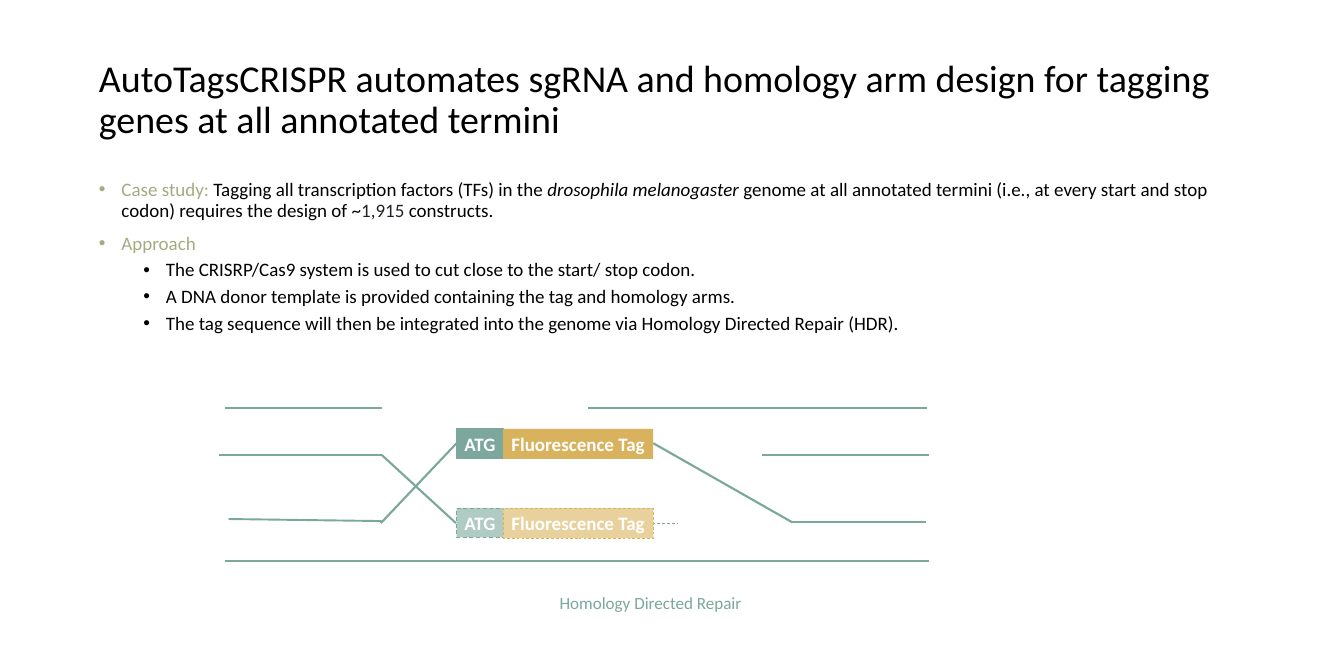
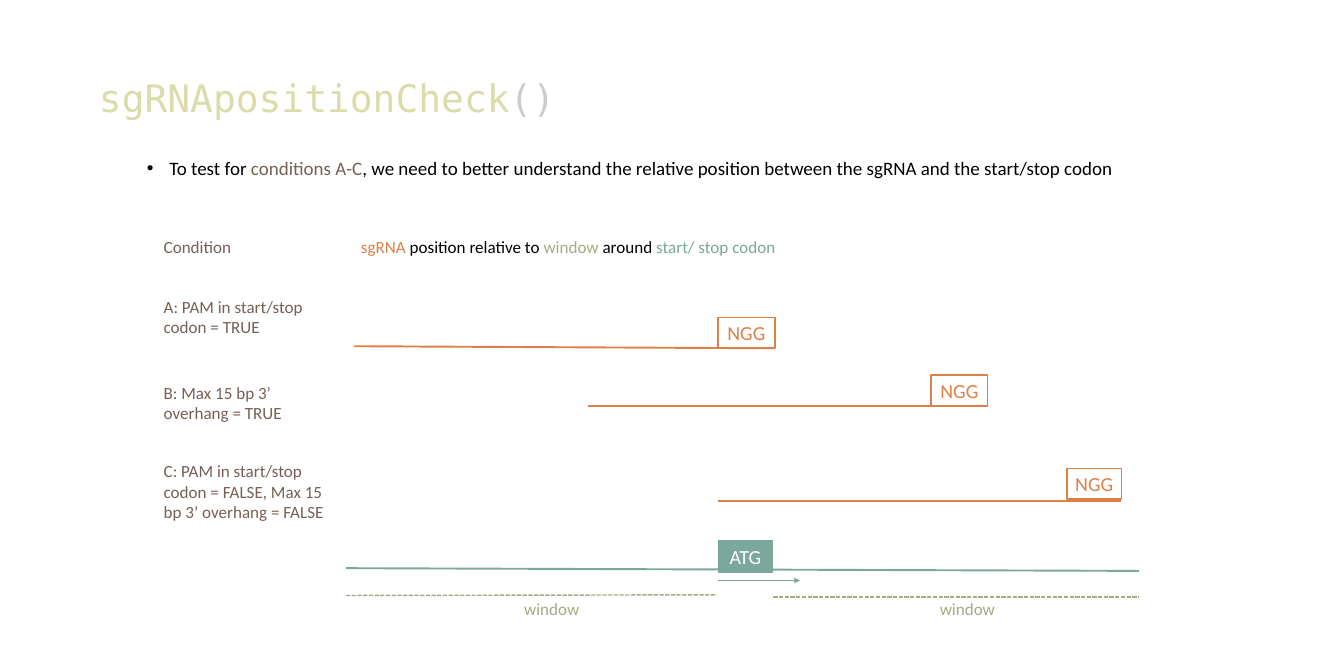
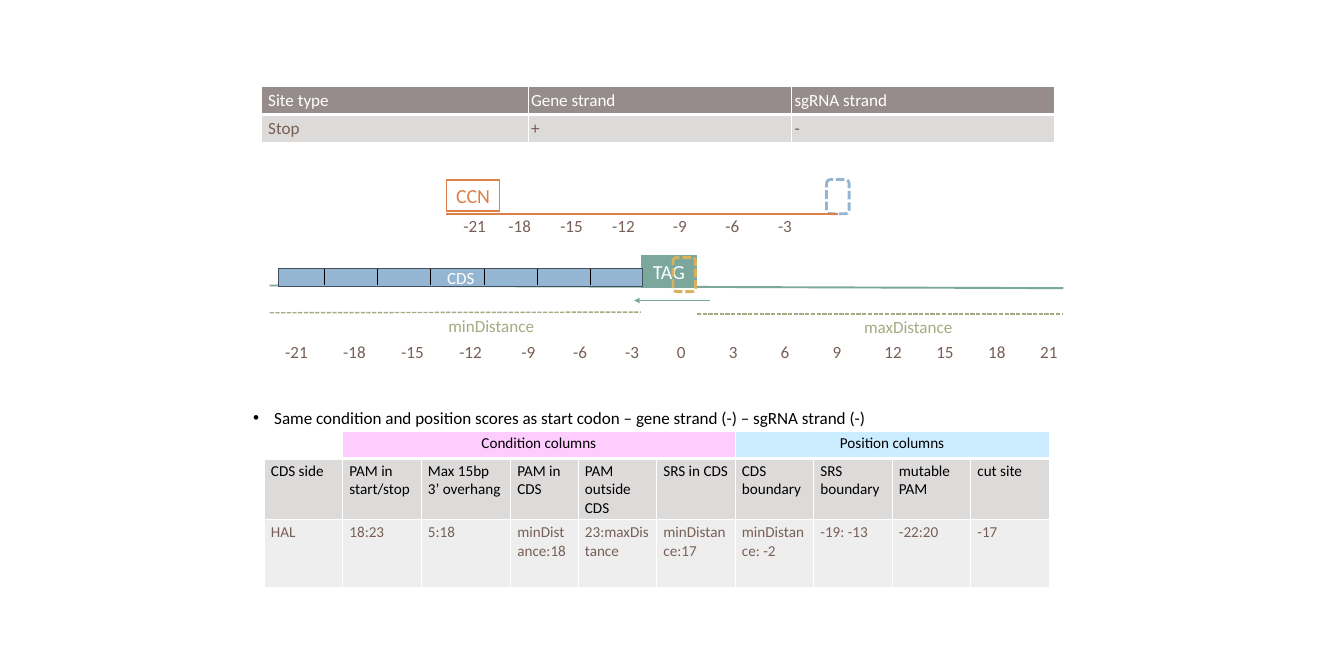
from dataclasses import dataclass

import lxml.etree
import pptx
import pptx.dml.color
import pptx.enum.dml
import pptx.enum.shapes
import pptx.enum.text
import pptx.oxml
import pptx.oxml.ns
import pptx.util

Inches, Pt = pptx.util.Inches, pptx.util.Pt
RGBColor = pptx.dml.color.RGBColor
DASH = pptx.enum.dml.MSO_LINE.DASH
SHORT_DASH = pptx.enum.dml.MSO_LINE.SQUARE_DOT
SHAPE = pptx.enum.shapes.MSO_SHAPE
ALIGN = pptx.enum.text.PP_ALIGN
ANCHOR = pptx.enum.text.MSO_ANCHOR
FIT = pptx.enum.text.MSO_AUTO_SIZE


@dataclass(frozen=True)
class Theme:
    teal: str = "7BA79D"
    pale_teal: str = "B0CAC4"
    gold: str = "D8B25C"
    pale_gold: str = "E8D19D"
    olive: str = "A5AB81"
    orange: str = "DD8047"
    brown: str = "775F55"
    blue: str = "94B6D2"
    navy: str = "41505C"
    black: str = "000000"
    ink: str = "1F2328"
    white: str = "FFFFFF"
    code_name: str = "DCDCAA"
    code_mark: str = "CCCCCC"
    header: str = "968C8C"
    band: str = "DDDADA"
    pale_band: str = "EFEEEE"
    pink: str = "FFCCFF"
    sky: str = "CCECFF"
    font: str = "Calibri"
    code_font: str = "DejaVu Sans Mono"
    title_size: int = 40
    body_size: int = 20
    codon_size: int = 21
    label_size: int = 18
    cell_size: int = 16


THEME = Theme()
TITLE_AT = (1.35, 0.52, 16.98, 1.9)
BODY_SIZE = (16.98, 6.24)

# Slide 1
REPAIR_TITLE = [("AutoTagsCRISPR automates sgRNA and homology arm design "
                 "for tagging genes at all annotated termini", THEME.black)]
REPAIR_POINTS = [
    (0, [("Case study:", THEME.olive),
         (" Tagging all transcription factors (TFs) in the ", THEME.black),
         ("drosophila melanogaster ", THEME.black, True),
         ("genome at all annotated termini (i.e., at every start and stop codon) "
          "requires the design of ~", THEME.black),
         ("1,915", THEME.ink), (" constructs.", THEME.black)]),
    (0, [("Approach", THEME.olive)]),
    (1, [("The CRISRP/Cas9 system is used to cut close to the start/ stop codon.", THEME.black)]),
    (1, [("A DNA donor template is provided containing the tag and homology arms.", THEME.black)]),
    (1, [("The tag sequence will then be integrated into the genome via "
          "Homology Directed Repair (HDR).", THEME.black)]),
]
GENOME_STRANDS = [
    ((3.29, 8.21), (13.61, 8.21)),
    ((3.29, 5.97), (5.59, 5.97)), ((8.61, 5.97), (13.58, 5.97)),
    ((3.21, 6.66), (5.59, 6.66)), ((11.17, 6.66), (13.61, 6.66)),
    ((3.35, 7.6), (5.59, 7.63)),
]
CROSSOVERS = [
    ((5.59, 6.66), (6.68, 7.66)), ((5.58, 7.66), (6.69, 6.49)),
    ((9.57, 6.49), (11.61, 7.65)), ((13.56, 7.65), (11.59, 7.65)),
]
# top, codon fill, tag fill, tag outline, dash
CONSTRUCTS = [
    (6.28, THEME.teal, THEME.gold, None, None),
    (7.44, THEME.pale_teal, THEME.pale_gold, THEME.gold, DASH),
]

# Slide 2
CHECK_TITLE = [("sgRNApositionCheck", THEME.code_name), ("()", THEME.code_mark)]
CHECK_POINTS = [
    (1, [("To test for ", THEME.black), ("conditions A-C", THEME.brown),
         (", we need to better understand the relative position between the sgRNA "
          "and the start/stop codon", THEME.black)]),
]
CONDITION_LABELS = [
    ("Condition", 3.41, 2.08, 0.4),
    ("A: PAM in start/stop codon = TRUE", 4.29, 2.53, 0.71),
    ("B: Max 15 bp 3’ overhang = TRUE", 5.55, 2.77, 0.71),
    ("C: PAM in start/stop codon = FALSE, Max 15 bp 3’ overhang = FALSE", 6.7, 2.63, 1.01),
]
POSITION_HEADING = [
    ("sgRNA ", THEME.orange), ("position relative to ", THEME.black),
    ("window ", THEME.olive), ("around ", THEME.black), ("start/ stop codon", THEME.teal),
]
# start of guide, end of guide, box of the PAM
GUIDES = [
    ((5.19, 5.07), (11.35, 5.1), (10.52, 4.65, 0.83, 0.45)),
    ((8.61, 5.94), (14.47, 5.94), (13.64, 5.49, 0.83, 0.45)),
    ((10.52, 7.33), (16.43, 7.33), (15.63, 6.86, 0.8, 0.45)),
]
# start, end, label, left and top of label
CODON_WINDOWS = [
    ((5.07, 8.72), (10.5, 8.71), "window", 7.58, 8.71),
    ((11.33, 8.74), (16.69, 8.74), "window", 13.67, 8.72),
]

# Slide 3
DISTANCE_WINDOWS = [
    ((3.95, 4.58), (9.39, 4.57), "minDistance", 6.47, 4.57),
    ((10.21, 4.6), (15.58, 4.6), "maxDistance", 12.56, 4.58),
]
STRAND_FACTS = [("Site type", "Stop", 3.83), ("Gene strand", "+", 7.68),
                ("sgRNA strand", "-", 11.54)]
# left of first number, step, numbers
GENOME_SCALE = [(4.08, 0.85, range(-21, -11, 3)), (7.54, 0.76, range(-9, 22, 3))]
GUIDE_SCALE = [(6.69, 0.76, [-21]), (7.35, 0.76, range(-18, -11, 3)),
               (9.76, 0.77, range(-9, -2, 3))]
SCORE_NOTE = ("Same condition and position scores as start codon – "
              "gene strand (-) – sgRNA strand (-)")
SCORE_GROUPS = [("Condition columns", THEME.pink, 1, 5), ("Position columns", THEME.sky, 6, 9)]
SCORES = [
    ("CDS side", "HAL", 1.15), ("PAM in start/stop", "18:23", 1.15),
    ("Max 15bp 3’ overhang", "5:18", 1.31), ("PAM in CDS", "minDistance:18", 0.99),
    ("PAM outside CDS", "23:maxDistance", 1.15), ("SRS in CDS", "minDistance:17", 1.15),
    ("CDS boundary", "minDistance: -2", 1.15), ("SRS boundary", "-19: -13", 1.15),
    ("mutable PAM", "-22:20", 1.15), ("cut site", "-17", 1.15),
]


def rgb(color):
    return RGBColor.from_string(color)


def inches(values):
    return [Inches(value) for value in values]


def write(para, spans, size, font=THEME.font, bold=None, align=None):
    """Fill a paragraph with (text, colour[, italic]) spans."""
    para.font.name, para.font.size, para.font.bold = font, Pt(size), bold
    para.alignment = align
    one_color = len({color for _, color, *_ in spans}) == 1
    if one_color:
        para.font.color.rgb = rgb(spans[0][1])
    for text, color, *italic in spans:
        span = para.add_run()
        span.text = text
        if not one_color:
            span.font.color.rgb = rgb(color)
        if italic:
            span.font.italic = italic[0]


def bullet(para, left, hang):
    properties = para._p.get_or_add_pPr()
    properties.set("marL", str(Inches(left)))
    properties.set("indent", str(-Inches(hang)))
    properties.append(pptx.oxml.parse_xml(
        f'<a:buFont {pptx.oxml.ns.nsdecls("a")} typeface="Arial"/>'))
    properties.append(pptx.oxml.parse_xml(
        f'<a:buChar {pptx.oxml.ns.nsdecls("a")} char="•"/>'))
    for default in properties.findall(pptx.oxml.ns.qn("a:defRPr")):
        properties.append(default)


def place(shape, at):
    shape.left, shape.top, shape.width, shape.height = inches(at)


def add_titled_page(deck, title, points, body_at, title_font=THEME.font):
    page = deck.slides.add_slide(deck.slide_layouts[1])
    heading, body = page.placeholders
    place(heading, TITLE_AT)
    place(body, (*body_at, *BODY_SIZE))
    for holder, anchor in ((heading, ANCHOR.MIDDLE), (body, ANCHOR.TOP)):
        holder.text_frame.auto_size = FIT.NONE
        holder.text_frame.vertical_anchor = anchor
    para = heading.text_frame.paragraphs[0]
    write(para, title, THEME.title_size, title_font, align=ALIGN.LEFT)
    para.line_spacing = 0.9
    for index, (level, spans) in enumerate(points):
        frame = body.text_frame
        para = frame.add_paragraph() if index else frame.paragraphs[0]
        write(para, spans, THEME.body_size)
        para.level = level
        para.line_spacing = 0.9
        para.space_before = Pt(6.6 if level else 13.1)
        bullet(para, 0.98 if level else 0.33, 0.33)
    return page


def add_line(shapes, start, end, color, width=2, dash=None, arrow=False):
    line = shapes.add_connector(pptx.enum.shapes.MSO_CONNECTOR.STRAIGHT, *inches(start + end))
    line.line.color.rgb = rgb(color)
    line.line.width = Pt(width)
    if dash:
        line.line.dash_style = dash
    if arrow:
        lxml.etree.SubElement(line.line._get_or_add_ln(), pptx.oxml.ns.qn("a:tailEnd"),
                              type="triangle")
    lxml.etree.SubElement(line._element.spPr, pptx.oxml.ns.qn("a:effectLst"))


def add_box(shapes, at, fill=None, outline=None, width=1, dash=None, kind=SHAPE.RECTANGLE):
    box = shapes.add_shape(kind, *inches(at))
    box.shadow.inherit = False
    if fill:
        box.fill.solid()
        box.fill.fore_color.rgb = rgb(fill)
    else:
        box.fill.background()
    if outline:
        box.line.color.rgb = rgb(outline)
        box.line.width = Pt(width)
        if dash:
            box.line.dash_style = dash
    else:
        box.line.fill.background()
    return box


def add_block(shapes, at, text, size, color=THEME.white, bold=None, **look):
    """A box with centred text."""
    box = add_box(shapes, at, **look)
    box.text_frame.word_wrap = True
    box.text_frame.vertical_anchor = ANCHOR.MIDDLE
    write(box.text_frame.paragraphs[0], [(text, color)], size, bold=bold, align=ALIGN.CENTER)


def add_pam(shapes, at, text):
    add_block(shapes, at, text, THEME.codon_size, THEME.orange,
              outline=THEME.orange, width=1.75)


def add_label(shapes, at, spans):
    box = shapes.add_textbox(*inches(at))
    box.text_frame.word_wrap = True
    para = box.text_frame.paragraphs[0]
    write(para, spans, THEME.label_size)
    return para


def add_windows(shapes, windows):
    for start, end, text, left, top in windows:
        add_line(shapes, start, end, THEME.olive, 1.5, SHORT_DASH)
        add_label(shapes, (left, top, 1.68, 0.4), [(text, THEME.olive)])


def add_scale(page, top, stretches):
    group = page.shapes.add_group_shape()
    for first, step, numbers in stretches:
        for index, number in enumerate(numbers):
            width = 0.61 if number <= -12 else 0.47
            add_label(group.shapes, (first + index * step, top, width, 0.4),
                      [(str(number), THEME.brown)])


def add_table(page, left, top, widths, heights):
    frame = page.shapes.add_table(len(heights), len(widths),
                                  *inches((left, top, sum(widths), sum(heights))))
    table = frame.table
    table.first_row = table.horz_banding = False
    for column, width in zip(table.columns, widths):
        column.width = Inches(width)
    for row, height in zip(table.rows, heights):
        row.height = Inches(height)
    return table


def fill_cell(cell, text, size, color, fill, bottom=1, align=None):
    """Style one cell with white borders; bottom is the lower border in points."""
    if fill:
        cell.fill.solid()
        cell.fill.fore_color.rgb = rgb(fill)
    else:
        cell.fill.background()
    if text:
        write(cell.text_frame.paragraphs[0], [(text, color)], size, align=align)
    borders = (("lnL", 1), ("lnR", 1), ("lnT", 1), ("lnB", bottom))
    for index, (side, width) in enumerate(borders):
        cell._tc.get_or_add_tcPr().insert(index, pptx.oxml.parse_xml(
            f'<a:{side} {pptx.oxml.ns.nsdecls("a")} w="{Pt(width)}"><a:solidFill>'
            f'<a:srgbClr val="{THEME.white}"/></a:solidFill></a:{side}>'))


def build_repair(deck):
    page = add_titled_page(deck, REPAIR_TITLE, REPAIR_POINTS, (1.35, 2.59))
    shapes = page.shapes
    for start, end in GENOME_STRANDS:
        add_line(shapes, start, end, THEME.teal)
    for start, end in CROSSOVERS:
        add_line(shapes, start, end, THEME.teal, 2.25)
    add_line(shapes, (6.69, 7.67), (9.94, 7.67), THEME.teal, 0.75, DASH)
    for top, codon_fill, tag_fill, tag_outline, dash in CONSTRUCTS:
        add_block(shapes, (6.69, top, 0.68, 0.43), "ATG", THEME.body_size, bold=True,
                  fill=codon_fill, outline=THEME.teal, dash=dash)
        add_block(shapes, (7.37, top, 2.2, 0.44), "Fluorescence Tag", THEME.body_size,
                  bold=True, fill=tag_fill, outline=tag_outline, width=0.75, dash=dash)
    add_label(shapes, (8.1, 8.63, 3.48, 0.4), [("Homology Directed Repair", THEME.teal)])


def build_position_check(deck):
    page = add_titled_page(deck, CHECK_TITLE, CHECK_POINTS, (1.4, 2.28), THEME.code_font)
    shapes = page.shapes
    add_line(shapes, (5.07, 8.32), (16.69, 8.36), THEME.teal)
    add_block(shapes, (10.52, 7.91, 0.8, 0.47), "ATG", THEME.codon_size,
              fill=THEME.teal, outline=THEME.teal)
    add_line(shapes, (10.52, 8.5), (11.72, 8.5), THEME.teal, 1.75, arrow=True)
    for start, end, pam_at in GUIDES:
        add_line(shapes, start, end, THEME.orange)
        add_pam(shapes, pam_at, "NGG")
    add_windows(shapes, CODON_WINDOWS)
    for text, top, width, height in CONDITION_LABELS:
        add_label(shapes, (2.3, top, width, height), [(text, THEME.brown)])
    add_label(shapes, (5.19, 3.42, 8.58, 0.4), POSITION_HEADING)


def build_stop_codon(deck):
    page = deck.slides.add_slide(deck.slide_layouts[6])
    shapes = page.shapes
    add_block(shapes, (9.4, 3.74, 0.8, 0.47), "TAG", THEME.codon_size,
              fill=THEME.teal, outline=THEME.teal)
    add_line(shapes, (3.95, 4.18), (15.58, 4.22), THEME.teal)
    add_line(shapes, (10.4, 4.4), (9.29, 4.4), THEME.teal, 1.75, arrow=True)
    for left, top, color in ((12.11, 2.63, THEME.blue), (9.86, 3.77, THEME.gold)):
        add_box(shapes, (left, top, 0.33, 0.5), outline=color, width=3,
                dash=SHORT_DASH, kind=SHAPE.ROUNDED_RECTANGLE)
    add_windows(shapes, DISTANCE_WINDOWS)
    add_scale(page, 4.95, GENOME_SCALE)

    coding = shapes.add_group_shape().shapes
    add_block(coding, (4.08, 3.93, 5.34, 0.26), "CDS", THEME.label_size,
              fill=THEME.blue, outline=THEME.navy)
    for index in range(6):
        left = 4.75 + index * 0.78
        add_line(coding, (left, 3.94), (left, 4.18), THEME.black, 0.5)

    add_scale(page, 3.11, GUIDE_SCALE)
    for heading, value, left in reversed(STRAND_FACTS):
        table = add_table(page, left, 1.27, [3.91], [0.41, 0.41])
        fill_cell(table.cell(0, 0), heading, THEME.label_size, THEME.white, THEME.header, 3)
        fill_cell(table.cell(1, 0), value, THEME.label_size, THEME.brown, THEME.band)
    add_line(shapes, (6.54, 3.13), (12.28, 3.13), THEME.orange)
    add_pam(shapes, (6.54, 2.64, 0.78, 0.45), "CCN")

    table = add_table(page, 3.87, 6.31, [width for _, _, width in SCORES], [0.4, 0.7, 0.99])
    fill_cell(table.cell(0, 0), "", THEME.cell_size, THEME.black, None, 3)
    for text, fill, first, last in SCORE_GROUPS:
        table.cell(0, first).merge(table.cell(0, last))
        for column in range(first, last + 1):
            fill_cell(table.cell(0, column), text if column == first else "",
                      THEME.cell_size, THEME.black, fill, 3, ALIGN.CENTER)
    for column, (heading, value, _) in enumerate(SCORES):
        fill_cell(table.cell(1, column), heading, THEME.cell_size, THEME.black, THEME.band)
        fill_cell(table.cell(2, column), value, THEME.cell_size, THEME.brown, THEME.pale_band)
    bullet(add_label(shapes, (3.61, 5.91, 9.5, 0.4), [(SCORE_NOTE, THEME.black)]), 0.31, 0.31)


def main():
    deck = pptx.Presentation()
    deck.slide_width, deck.slide_height = Inches(19.69), Inches(9.84)
    build_repair(deck)
    build_position_check(deck)
    build_stop_codon(deck)
    deck.save("out.pptx")


if __name__ == "__main__":
    main()
